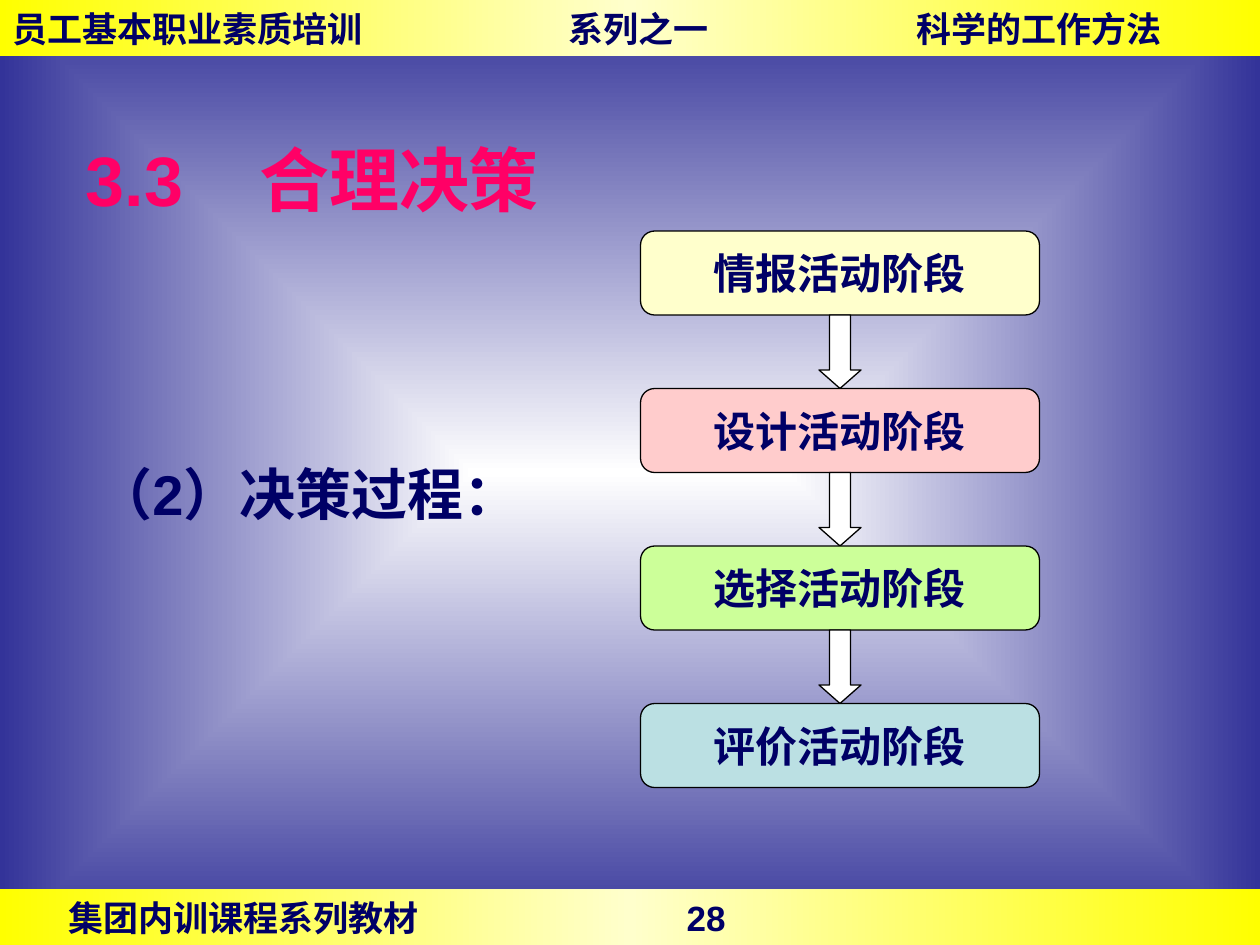
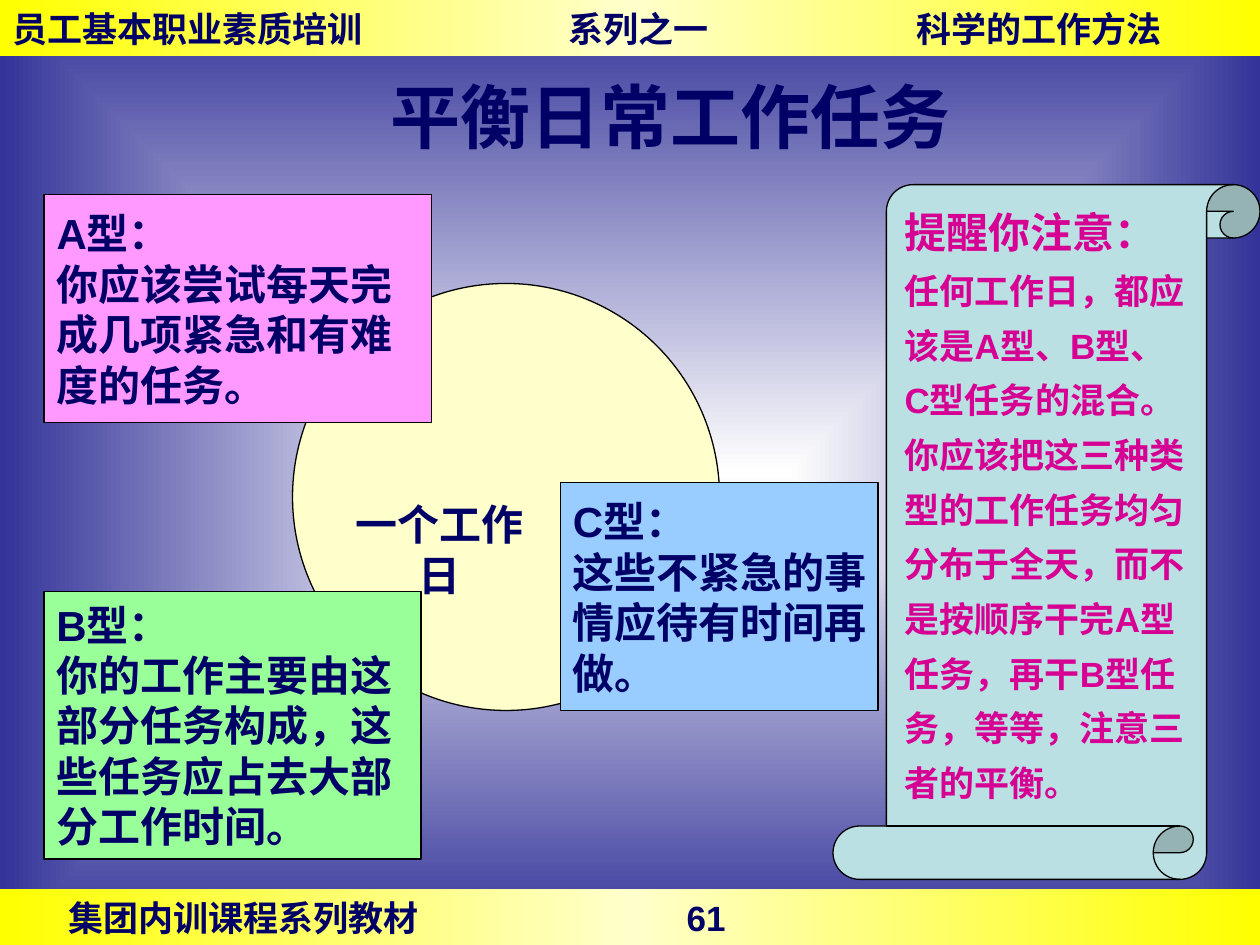
from pptx import Presentation
from pptx.dml.color import RGBColor as Rgb
from pptx.enum.shapes import MSO_SHAPE as Kind
from pptx.enum.text import MSO_ANCHOR as Anchor, PP_ALIGN as Align
from pptx.oxml import parse_xml
from pptx.oxml.ns import nsdecls, qn
from pptx.util import Pt

WIDE, HIGH, BAND = 720, 540, 32
FONT = "Arial"
NAVY = Rgb(0x00, 0x00, 0x66)
ROSE = Rgb(0xFF, 0x00, 0x66)
PLUM = Rgb(0xD6, 0x00, 0x93)
BLACK = Rgb(0x00, 0x00, 0x00)
WHITE = Rgb(0xFF, 0xFF, 0xFF)
INDIGO = Rgb(0x33, 0x33, 0x99)
YELLOW = Rgb(0xFF, 0xFF, 0x00)
CREAM = Rgb(0xFF, 0xFF, 0xCC)
PINK = Rgb(0xFF, 0xCC, 0xCC)
LIME = Rgb(0xCC, 0xFF, 0x99)
TEAL = Rgb(0xBB, 0xE0, 0xE3)
ORCHID = Rgb(0xFF, 0x99, 0xFF)
GREEN = Rgb(0x99, 0xFF, 0x99)
SKY = Rgb(0x99, 0xCC, 0xFF)

HEAD = "员工基本职业素质培训\t系列之一\t科学的工作方法"
FOOT = "集团内训课程系列教材\t"
STEPS = [
    ("情报活动阶段", CREAM),
    ("设计活动阶段", PINK),
    ("选择活动阶段", LIME),
    ("评价活动阶段", TEAL),
]
TYPES = [
    ("A型：\n你应该尝试每天完\n成几项紧急和有难\n度的任务。", ORCHID, (25.2, 111.3, 221.3, 130.2)),
    ("B型：\n你的工作主要由这\n部分任务构成，这\n些任务应占去大部\n分工作时间。", GREEN, (25.2, 337.9, 215.5, 153)),
    ("C型：\n这些不紧急的事\n情应待有时间再\n做。", SKY, (320.2, 275.8, 181.5, 130.2)),
]
NOTE = [
    "提醒你注意：", "任何工作日，都应", "该是A型、B型、", "C型任务的混合。",
    "你应该把这三种类", "型的工作任务均匀", "分布于全天，而不",
    "是按顺序干完A型", "任务，再干B型任", "务，等等，注意三", "者的平衡。",
]


def blend(fill, root, stops, shade):
    fill.gradient()
    gaps = 100000 // (len(stops) - 1)
    marks = "".join(
        f'<a:gs pos="{i * gaps}"><a:srgbClr val="{tint}"/></a:gs>'
        for i, tint in enumerate(stops))
    old = root.find(".//" + qn("a:gradFill"))
    old.getparent().replace(old, parse_xml(
        f'<a:gradFill {nsdecls("a")} rotWithShape="1">'
        f"<a:gsLst>{marks}</a:gsLst>{shade}</a:gradFill>"))


def write(shape, text, size=24, color=NAVY, align=Align.LEFT, anchor=Anchor.MIDDLE,
          wrap=False, space=None, tabs=(), left=7.2, first=None):
    frame = shape.text_frame
    frame.word_wrap = wrap
    frame.vertical_anchor = anchor
    frame.margin_left = Pt(left)
    for i, line in enumerate(text.split("\n")):
        para = frame.paragraphs[0] if i == 0 else frame.add_paragraph()
        para.text = line
        para.alignment = align
        if space:
            para.line_spacing = space
        if tabs:
            stops = "".join(f'<a:tab pos="{Pt(x)}" algn="l"/>' for x in tabs)
            para._p.get_or_add_pPr().append(
                parse_xml(f'<a:tabLst {nsdecls("a")}>{stops}</a:tabLst>'))
        for run in para.runs:
            font = run.font
            font.name, font.bold = FONT, True
            font.size = Pt(first if first and i == 0 else size)
            font.color.rgb = color


def draw(slide, kind, box, fill=None):
    shape = slide.shapes.add_shape(kind, *map(Pt, box))
    shape.shadow.inherit = False
    if fill is not None:
        shape.fill.solid()
        shape.fill.fore_color.rgb = fill
        shape.line.color.rgb = BLACK
        shape.line.width = Pt(0.75)
    return shape


def label(slide, box, text, **style):
    write(slide.shapes.add_textbox(*map(Pt, box)), text, **style)


def band(slide, top, text, **style):
    bar = draw(slide, Kind.RECTANGLE, (0, top, WIDE, BAND))
    blend(bar.fill, bar.element, [YELLOW, CREAM, YELLOW], '<a:lin ang="10800000" scaled="1"/>')
    bar.line.fill.background()
    write(bar, text, size=20, wrap=True, **style)


def start(deck, page):
    slide = deck.slides.add_slide(deck.slide_layouts[6])
    blend(slide.background.fill, slide.element, [WHITE, INDIGO],
          '<a:path path="rect"><a:fillToRect l="50000" t="50000" r="50000" b="50000"/></a:path>')
    band(slide, HIGH - BAND, FOOT + page, left=39, tabs=[353.4])
    band(slide, 0, HEAD, tabs=[318, 516.5])
    return slide


def decide(deck):
    slide = start(deck, "28")
    label(slide, (42, 78, 342, 48), "3.3\t合理决策", size=40, color=ROSE, wrap=True, tabs=[99])
    label(slide, (48, 240, 258, 65), "（2）决策过程：", size=32, wrap=True,
          space=1.5, anchor=Anchor.TOP)
    left, top, wide, high, step = 366, 132, 228, 48, 90
    for i, (text, fill) in enumerate(STEPS):
        y = top + i * step
        box = draw(slide, Kind.ROUNDED_RECTANGLE, (left, y, wide, high), fill)
        write(box, text, align=Align.CENTER)
        if i < len(STEPS) - 1:
            arrow = draw(slide, Kind.DOWN_ARROW,
                         (left + wide / 2 - 12, y + high, 24, step - high), WHITE)
            arrow.adjustments[1] = 0.44


def balance(deck):
    slide = start(deck, "61")
    scroll = draw(slide, Kind.VERTICAL_SCROLL, (476, 105.5, 244, 397), TEAL)
    scroll.rotation = 180
    draw(slide, Kind.OVAL, (167.2, 162, 244, 244), CREAM)
    label(slide, (173, 49, 420, 34), "平衡日常工作任务", size=40, align=Align.CENTER, wrap=True)
    for text, fill, box in TYPES:
        write(draw(slide, Kind.RECTANGLE, box, fill), text)
    label(slide, (184, 281.5, 134, 36), "一个工作日", align=Align.CENTER, anchor=Anchor.TOP)
    label(slide, (509.8, 106, 183, 357), "\n".join(NOTE), size=20, first=24,
          color=PLUM, space=1.3, anchor=Anchor.TOP)


def main():
    deck = Presentation()
    deck.slide_width, deck.slide_height = Pt(WIDE), Pt(HIGH)
    decide(deck)
    balance(deck)
    deck.save("out.pptx")


if __name__ == "__main__":
    main()
